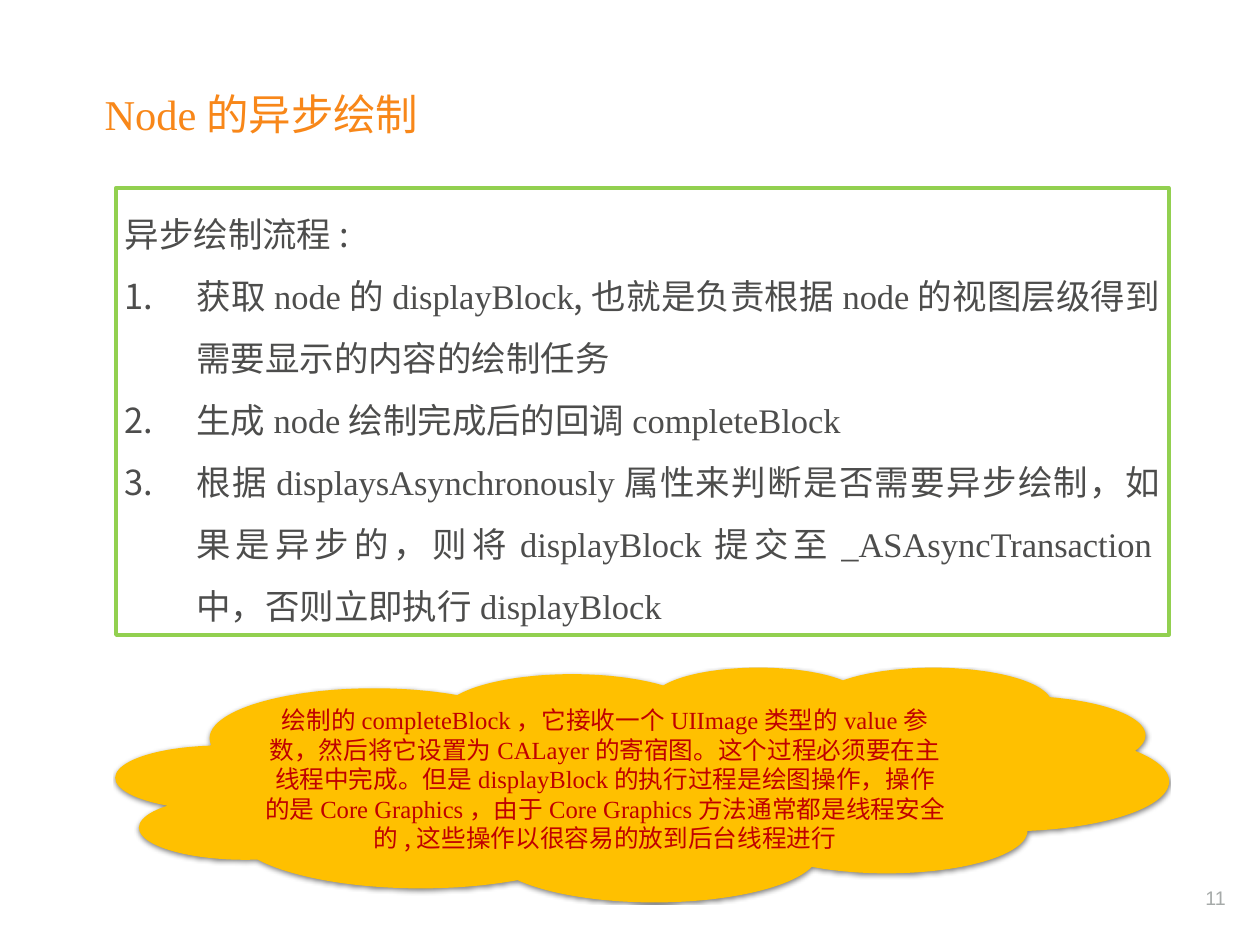
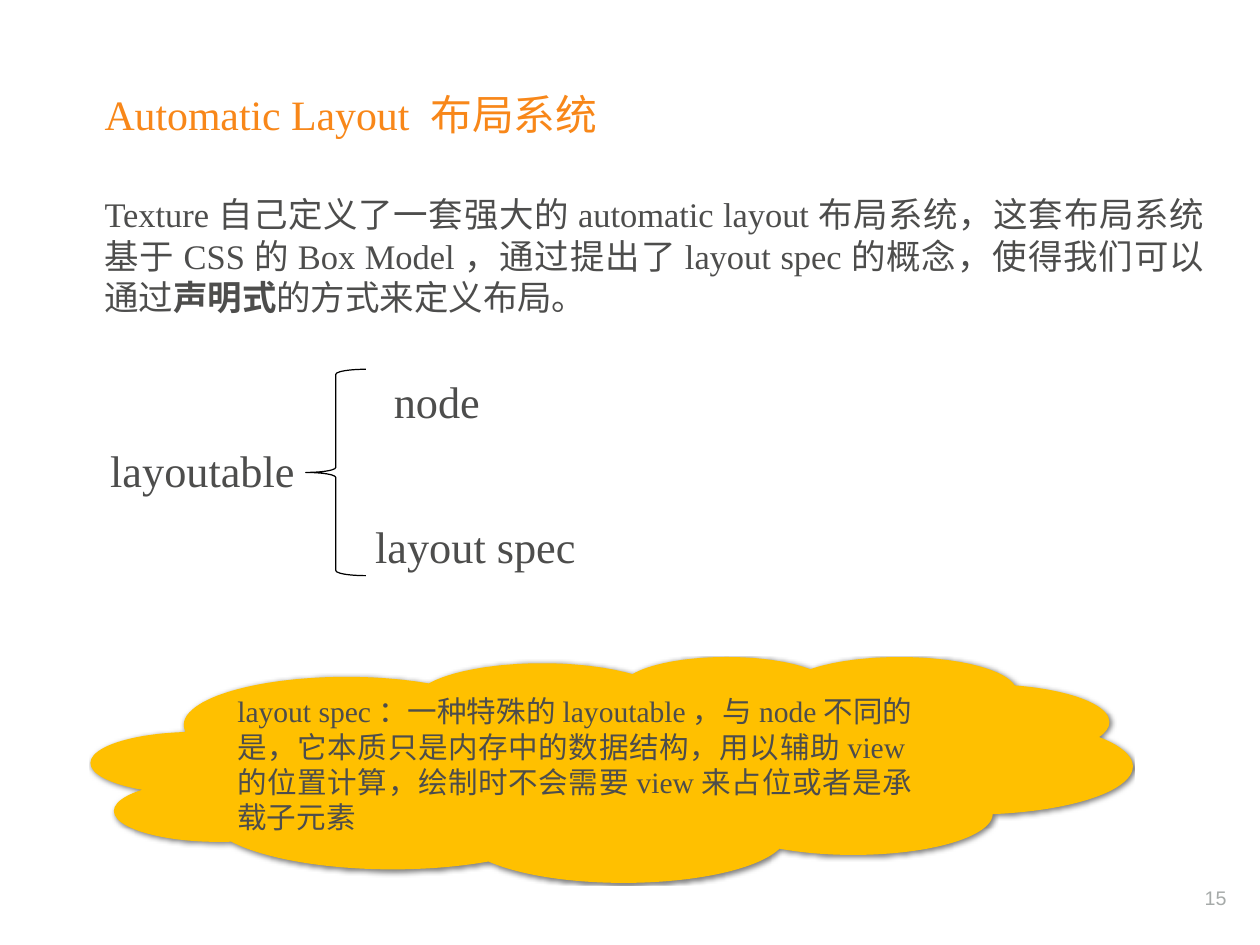
"""Build two slides on asynchronous drawing and the automatic layout system."""
from itertools import groupby

from lxml import etree
from pptx import Presentation
from pptx.dml.color import RGBColor
from pptx.enum import shapes, text
from pptx.oxml import ns
from pptx.util import Inches, Pt

ORANGE = RGBColor(0xF8, 0x87, 0x19)
GREY = RGBColor(0x4D, 0x4D, 0x4C)
PALE_GREY = RGBColor(0xA6, 0xAA, 0xA9)
GREEN = RGBColor(0x92, 0xD0, 0x50)
AMBER = RGBColor(0xFF, 0xC0, 0x00)
RED = RGBColor(0xC0, 0x00, 0x00)
BLACK = RGBColor(0x00, 0x00, 0x00)

LATIN_FONT = "Times New Roman"
CJK_FONT = "Noto Sans CJK SC"
NUMBER_FONT = "Arial"
TIGHT = 0.03
LEFT, CENTER, JUSTIFY = (text.PP_ALIGN.LEFT, text.PP_ALIGN.CENTER,
                         text.PP_ALIGN.JUSTIFY)
TOP, MIDDLE, BOTTOM = (text.MSO_ANCHOR.TOP, text.MSO_ANCHOR.MIDDLE,
                       text.MSO_ANCHOR.BOTTOM)

STEPS = [
    "异步绘制流程:",
    "获取node的displayBlock,也就是负责根据node的视图层级得到需要显示的内容的绘制任务",
    "生成node绘制完成后的回调completeBlock",
    "根据displaysAsynchronously属性来判断是否需要异步绘制，如果是异步的，"
    "则将displayBlock提交至_ASAsyncTransaction中，否则立即执行displayBlock",
]
DRAWING_NOTE = (
    "绘制的completeBlock，它接收一个UIImage类型的value参数，然后将它设置为CALayer的寄宿图。"
    "这个过程必须要在主线程中完成。但是displayBlock的执行过程是绘图操作，操作的是Core Graphics，"
    "由于Core Graphics方法通常都是线程安全的,这些操作以很容易的放到后台线程进行"
)
LAYOUT_INTRO = (
    "Texture自己定义了一套强大的automatic layout布局系统，这套布局系统基于CSS的Box Model，"
    "通过提出了layout spec的概念，使得我们可以通过**声明式**的方式来定义布局。"
)
LAYOUT_NOTE = (
    "layout spec：一种特殊的layoutable，与node不同的是，它本质只是内存中的数据结构，"
    "用以辅助view的位置计算，绘制时不会需要view来占位或者是承载子元素"
)


def add_element(parent, tag, **attributes):
    return etree.SubElement(parent, ns.qn(tag), attributes)


def is_latin(char):
    return char.isascii() and char not in ",:"


def fill_para(para, words, size, color, align, latin_font=LATIN_FONT):
    """Align a paragraph and split its words by script; ** marks bold parts."""
    para.alignment = align
    para._p.get_or_add_pPr().set("hangingPunct", "0")
    for index, part in enumerate(words.split("**")):
        for latin, chars in groupby(part, is_latin):
            span = para.add_run()
            span.text = "".join(chars)
            span.font.size = Pt(size)
            span.font.color.rgb = color
            span.font.name = latin_font if latin else CJK_FONT
            if index % 2:
                span.font.bold = True
            add_element(span.font._element, "a:ea", typeface=CJK_FONT)


def set_frame(box, anchor=TOP, wrap=True, grow=True, inset=None):
    frame = box.text_frame
    frame.word_wrap = wrap
    frame.vertical_anchor = anchor
    if grow:
        frame.auto_size = text.MSO_AUTO_SIZE.SHAPE_TO_FIT_TEXT
    if inset is not None:
        frame.margin_left = frame.margin_right = Inches(inset)
        frame.margin_top = frame.margin_bottom = Inches(inset)
    return frame


def add_text(page, place, words, size, color, align, latin_font=LATIN_FONT, **layout):
    box = page.shapes.add_textbox(*map(Inches, place))
    para = set_frame(box, **layout).paragraphs[0]
    fill_para(para, words, size, color, align, latin_font)


def add_plain_shape(page, kind, place):
    shape = page.shapes.add_shape(kind, *map(Inches, place))
    shape.shadow.inherit = False
    shape.fill.background()
    return shape


def outline(shape, color, width):
    shape.line.color.rgb = color
    shape.line.width = Pt(width)


def add_steps(page, place, steps, size):
    """Add a framed heading followed by numbered steps."""
    panel = add_plain_shape(page, shapes.MSO_SHAPE.RECTANGLE, place)
    outline(panel, GREEN, 3)
    frame = set_frame(panel)
    for index, step in enumerate(steps):
        para = frame.add_paragraph() if index else frame.paragraphs[0]
        para.line_spacing = 1.5
        if index:
            props = para._p.get_or_add_pPr()
            indent = Inches(0.81)
            props.set("marL", str(indent))
            props.set("indent", str(-indent))
            add_element(props, "a:buFont", typeface=CJK_FONT)
            add_element(props, "a:buAutoNum", type="arabicPeriod")
        fill_para(para, step, size, GREY, JUSTIFY)


def add_cloud(page, place, tail, words, size, color, align):
    cloud = add_plain_shape(page, shapes.MSO_SHAPE.CLOUD_CALLOUT, place)
    cloud.adjustments[0], cloud.adjustments[1] = tail
    cloud.fill.solid()
    cloud.fill.fore_color.rgb = AMBER
    cloud.line.fill.background()
    effects = cloud._element.spPr.find(ns.qn("a:effectLst"))
    shadow = add_element(effects, "a:outerShdw", blurRad=str(Pt(1)),
                         dist=str(Pt(1)), dir="5400000", rotWithShape="0")
    shade = add_element(shadow, "a:srgbClr", val=str(BLACK))
    add_element(shade, "a:alpha", val="50000")
    para = set_frame(cloud, anchor=MIDDLE, inset=TIGHT).paragraphs[0]
    fill_para(para, words, size, color, align)


def add_page(deck, title, title_size, number):
    """Add a page with the shared title and page number."""
    page = deck.slides.add_slide(deck.slide_layouts[6])
    add_text(page, (1.15, 0.92, 11.88, 0.68), title, title_size, ORANGE, LEFT,
             anchor=BOTTOM, grow=False, inset=TIGHT)
    add_text(page, (13.52, 9.97, 0.4, 0.32), str(number), 16, PALE_GREY, CENTER,
             NUMBER_FONT, wrap=False, inset=TIGHT)
    return page


def build_drawing_page(deck):
    page = add_page(deck, "Node的异步绘制", 34.5, 11)
    add_steps(page, (1.31, 2.12, 11.88, 5.05), STEPS, 28)
    add_cloud(page, (1.31, 7.53, 11.88, 2.65), (-0.15, 0.19),
              DRAWING_NOTE, 20, RED, CENTER)


def build_layout_page(deck):
    page = add_page(deck, "Automatic Layout 布局系统", 34, 15)
    add_text(page, (1.15, 2.15, 12.47, 1.47), LAYOUT_INTRO, 28, GREY, JUSTIFY,
             anchor=MIDDLE, inset=TIGHT)
    brace = add_plain_shape(page, shapes.MSO_SHAPE.LEFT_BRACE, (3.45, 4.17, 0.68, 2.33))
    outline(brace, BLACK, 1)
    for label, left, top, width in (("layoutable", 1.13, 4.95, 2.31),
                                    ("node", 4.34, 4.18, 1.18),
                                    ("layout spec", 4.12, 5.81, 2.49)):
        add_text(page, (left, top, width, 0.71), label, 36, GREY, CENTER, wrap=False)
    add_cloud(page, (1.03, 7.41, 11.75, 2.55), (-0.16, 0.19),
              LAYOUT_NOTE, 24, GREY, JUSTIFY)


def main():
    deck = Presentation()
    deck.slide_width = Inches(14.22)
    deck.slide_height = Inches(10.67)
    build_drawing_page(deck)
    build_layout_page(deck)
    deck.save("out.pptx")


if __name__ == "__main__":
    main()
